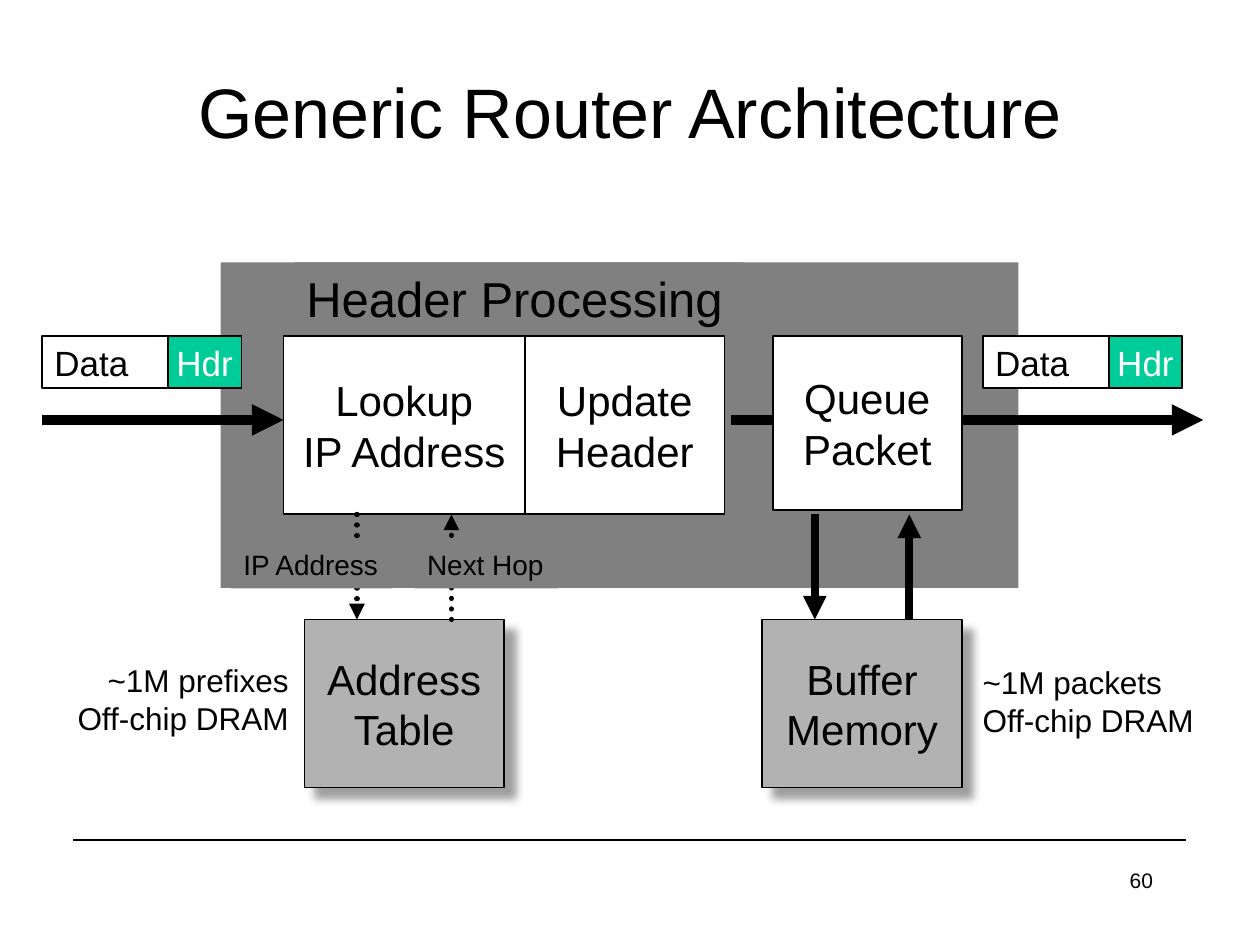
from dataclasses import dataclass
from typing import Optional

from lxml import etree
from pptx import Presentation
from pptx.dml.color import RGBColor
from pptx.enum import dml, shapes, text
from pptx.oxml.ns import qn
from pptx.util import Inches, Pt

COLS, ROWS = 120, 90
BLACK, WHITE, GRAY, SILVER, GREEN = "000000", "FFFFFF", "808080", "B2B2B2", "00CC99"
LEFT, CENTER, RIGHT = text.PP_ALIGN.LEFT, text.PP_ALIGN.CENTER, text.PP_ALIGN.RIGHT

prs = Presentation()
prs.slide_width, prs.slide_height = Inches(10), Inches(7.5)
s = prs.slides.add_slide(prs.slide_layouts[6])


@dataclass
class Box:
    col: float
    row: float
    cols: float
    rows: float
    label: str = ""
    size: float = 24
    color: str = BLACK
    fill: Optional[str] = None
    border: bool = False
    align: text.PP_ALIGN = CENTER
    middle: bool = True
    grow: bool = False
    shadow: bool = False


@dataclass
class Line:
    col: float
    row: float
    end_col: float
    end_row: float
    width: float
    arrow: bool = True
    dotted: bool = False


def rgb(value: str) -> RGBColor:
    return RGBColor.from_string(value)


def x(col: float) -> int:
    return round(prs.slide_width * col / COLS)


def y(row: float) -> int:
    return round(prs.slide_height * row / ROWS)


def add_shadow(sp) -> None:
    effects = sp._element.spPr.find(qn("a:effectLst"))
    outer = etree.SubElement(effects, qn("a:outerShdw"), blurRad=str(Pt(5)),
                             dist=str(Pt(8.5)), dir="2700000", algn="tl", rotWithShape="0")
    color = etree.SubElement(outer, qn("a:srgbClr"), val=GRAY)
    etree.SubElement(color, qn("a:alpha"), val="75000")


def draw_box(box: Box) -> None:
    frame = x(box.col), y(box.row), x(box.cols), y(box.rows)
    if box.fill:
        sp = s.shapes.add_shape(shapes.MSO_SHAPE.RECTANGLE, *frame)
        sp.shadow.inherit = False
        sp.fill.solid()
        sp.fill.fore_color.rgb = rgb(box.fill)
        if box.border:
            sp.line.color.rgb = rgb(BLACK)
            sp.line.width = Pt(1)
        else:
            sp.line.fill.background()
    else:
        sp = s.shapes.add_textbox(*frame)
    if box.shadow:
        add_shadow(sp)
    if not box.label:
        return
    tf = sp.text_frame
    tf.text = box.label
    tf.word_wrap = not (box.fill or box.grow)
    tf.auto_size = text.MSO_AUTO_SIZE.SHAPE_TO_FIT_TEXT if box.grow else text.MSO_AUTO_SIZE.NONE
    tf.vertical_anchor = text.MSO_ANCHOR.MIDDLE if box.middle else text.MSO_ANCHOR.TOP
    for p in tf.paragraphs:
        p.alignment = box.align
        for r in p.runs:
            r.font.name = "Arial"
            r.font.size = Pt(box.size)
            r.font.color.rgb = rgb(box.color)


def draw_line(line: Line) -> None:
    cx = s.shapes.add_connector(shapes.MSO_CONNECTOR.STRAIGHT, x(line.col), y(line.row),
                                x(line.end_col), y(line.end_row))
    cx.line.color.rgb = rgb(BLACK)
    cx.line.width = Pt(line.width)
    ln = cx.line._get_or_add_ln()
    if line.dotted:
        cx.line.dash_style = dml.MSO_LINE.ROUND_DOT
        ln.set("cap", "rnd")
    if line.arrow:
        etree.SubElement(ln, qn("a:tailEnd"), type="triangle")
    etree.SubElement(cx._element.spPr, qn("a:effectLst"))


def stage(col: float, cols: float, rows: float, label: str) -> Box:
    return Box(col, 32, cols, rows, label, fill=WHITE, border=True)


def memory(col: float, label: str) -> Box:
    return Box(col, 59, 19, 16, label, fill=SILVER, border=True, shadow=True)


def caption(col: float, row: float, cols: float, rows: float, label: str, size: float,
            fill: Optional[str] = None, align: text.PP_ALIGN = LEFT) -> Box:
    return Box(col, row, cols, rows, label, size, fill=fill, align=align, middle=False, grow=True)


def packet(col: float) -> list[Box]:
    return [Box(col, 32, 19, 5, "Data", 20, fill=WHITE, border=True, align=LEFT),
            Box(col + 12, 32, 7, 5, "Hdr", 20, WHITE, GREEN, True)]


TABLE_COL, BUFFER_COL = 29, 72.6
STAGE_END, MEMORY_TOP = 49, 59

items = [
    Line(7, 80, 113, 80, 0.75, arrow=False),
    Box(86, 82, 25, 6, "60", 12, align=RIGHT, middle=False),
    Box(21, 25, 76, 31, fill=GRAY),
    Box(9, 3, 102, 15, "Generic Router Architecture", 40),
    stage(27, 23, 17, "Lookup\nIP Address"),
    stage(50, 19, 17, "Update\nHeader"),
    caption(28, 25, 42.84, 6.84, "Header Processing", 28, GRAY),
    Line(4, 40, 27, 40, 6),
    *packet(4),
    Line(69.6, 40, 114.6, 40, 6),
    *packet(93.6),
    caption(6, 62.4, 22.68, 8.52, "~1M prefixes\nOff-chip DRAM", 18, align=RIGHT),
    memory(TABLE_COL, "Address\nTable"),
    Line(TABLE_COL + 5, STAGE_END, TABLE_COL + 5, MEMORY_TOP, 3, dotted=True),
    caption(22, 51.6, 15.36, 4.44, "IP Address", 16, GRAY),
    Line(TABLE_COL + 14, MEMORY_TOP, TABLE_COL + 14, STAGE_END, 3, dotted=True),
    caption(39.5, 51.6, 13.68, 4.44, "Next Hop", 16, GRAY),
    stage(73.6, 18, 16.6, "Queue\nPacket"),
    memory(BUFFER_COL, "Buffer\nMemory"),
    Line(BUFFER_COL + 5, STAGE_END, BUFFER_COL + 5, MEMORY_TOP, 4.5),
    Line(BUFFER_COL + 14, MEMORY_TOP, BUFFER_COL + 14, STAGE_END, 4.5),
    caption(92.4, 62.6, 22.68, 8.52, "~1M packets\nOff-chip DRAM", 18),
]

for item in items:
    if isinstance(item, Box):
        draw_box(item)
    else:
        draw_line(item)

prs.save("out.pptx")
